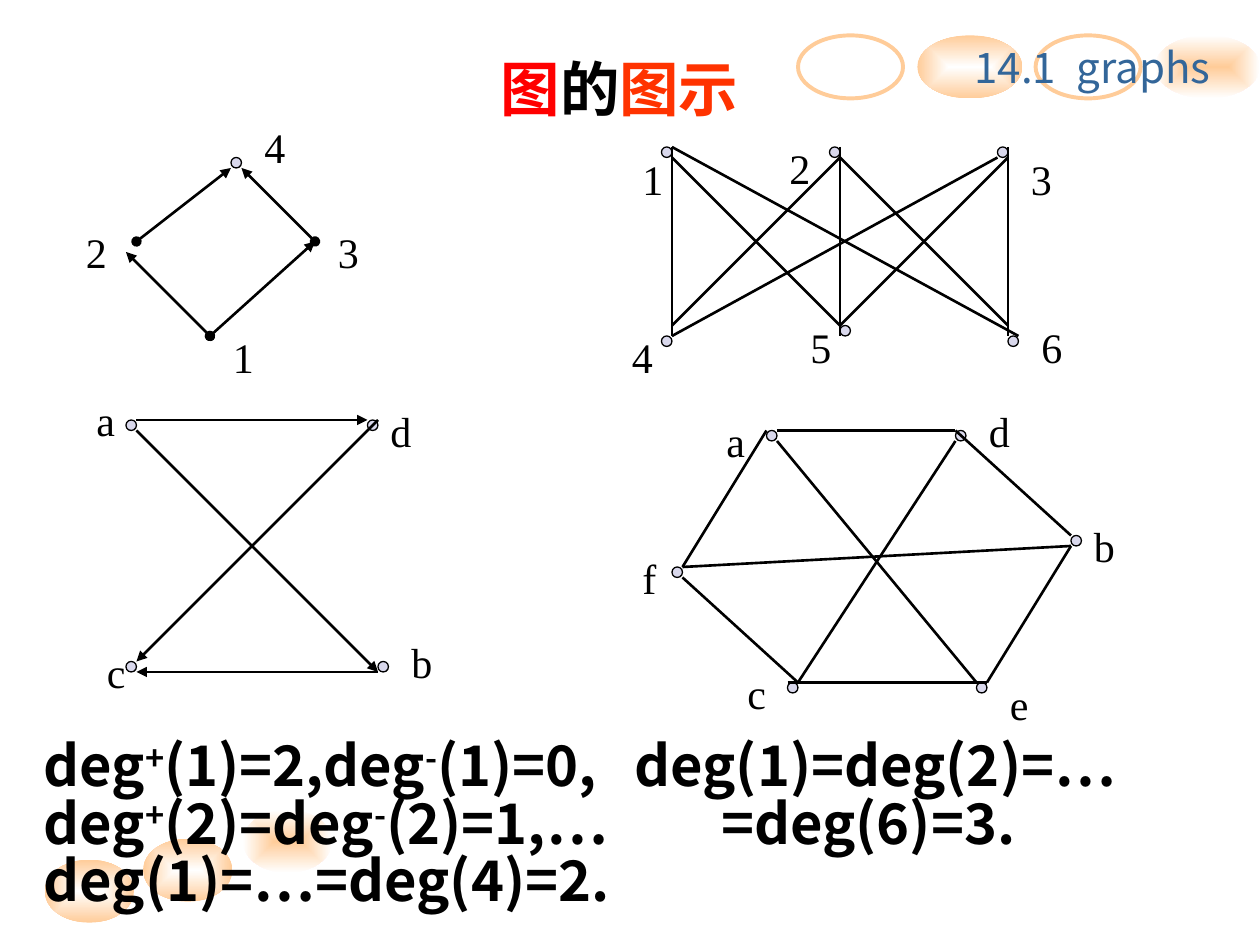
from dataclasses import dataclass
from typing import NamedTuple

from lxml.etree import SubElement
from pptx import Presentation
from pptx.dml.color import RGBColor
from pptx.enum.shapes import MSO_CONNECTOR, MSO_SHAPE
from pptx.enum.text import MSO_ANCHOR, MSO_AUTO_SIZE, PP_ALIGN
from pptx.oxml.ns import qn
from pptx.util import Emu, Pt

EMU_PER_PX = 9525
NODE_SIZE = 8
LABEL_HEIGHT = 48
SANS = "Noto Sans CJK SC"
SERIF = "Times New Roman"
COLORS = {
    "black": "000000", "white": "FFFFFF", "peach": "FFCC99", "node": "D9D8EC",
    "section": "336699", "red": "FF0000", "orange": "FF3300",
}


class Oval(NamedTuple):
    left: int
    top: int
    width: int
    stops: tuple[str, str] | None = None  # edge-to-centre colours; None is an outline


class Label(NamedTuple):
    text: str
    left: int
    top: int
    width: int = 32


class TextStyle(NamedTuple):
    font: str
    size: int
    color: str = "black"
    bold: bool = False


class Span(NamedTuple):
    text: str
    color: str | None = None
    raised: bool = False


@dataclass
class Graph:
    nodes: list[tuple[int, int]]
    edges: list[tuple[int, int, int, int]]
    labels: list[Label]
    directed: bool = False
    dotted_starts: bool = False


INWARD = ("peach", "white")
OUTWARD = ("white", "peach")
OVALS = [
    Oval(185, 617, 68, INWARD), Oval(109, 639, 68, OUTWARD), Oval(880, 27, 80, INWARD),
    Oval(699, 27, 80, OUTWARD), Oval(608, 27, 80), Oval(34, 655, 68, OUTWARD),
    Oval(789, 27, 80),
]

GRAPHS = [
    Graph(
        nodes=[(176, 120)],
        edges=[(160, 256, 240, 184), (104, 184, 176, 128),
               (160, 256, 96, 192), (240, 184, 184, 128)],
        labels=[Label("1", 168, 248), Label("2", 56, 168),
                Label("3", 248, 168), Label("4", 192, 88, 40)],
        directed=True, dotted_starts=True,
    ),
    Graph(
        nodes=[(96, 320), (96, 504), (280, 320), (288, 504)],
        edges=[(104, 320, 280, 320), (288, 512, 104, 512),
               (104, 328, 288, 512), (288, 320, 104, 504)],
        labels=[Label("a", 64, 296), Label("b", 304, 480),
                Label("c", 72, 488), Label("d", 288, 304)],
        directed=True,
    ),
    Graph(
        nodes=[(504, 112), (632, 112), (760, 112), (504, 256), (640, 248), (768, 256)],
        edges=[(512, 112, 512, 256), (640, 112, 640, 256), (768, 112, 768, 256),
               (512, 120, 640, 248), (640, 120, 768, 248), (768, 120, 640, 248),
               (640, 120, 512, 248), (512, 112, 776, 256), (512, 256, 760, 120)],
        labels=[Label("1", 480, 112), Label("2", 592, 104, 40), Label("3", 776, 112, 40),
                Label("4", 472, 248, 40), Label("5", 608, 240, 48), Label("6", 784, 240, 40)],
    ),
    Graph(
        nodes=[(584, 328), (728, 328), (816, 408), (744, 520), (600, 520), (512, 432)],
        edges=[(752, 520, 816, 416), (520, 432, 584, 328), (592, 328, 728, 328),
               (600, 520, 752, 520), (728, 328, 816, 408), (520, 440, 608, 520),
               (520, 432, 816, 416), (728, 336, 608, 520), (592, 336, 744, 520)],
        labels=[Label("a", 544, 312), Label("b", 824, 392), Label("c", 560, 504),
                Label("d", 744, 304), Label("e", 760, 512), Label("f", 480, 416, 40)],
    ),
]

DEGREE_LINES = [
    [Span("deg"), Span("+", raised=True), Span("(1)=2,deg"), Span("-", raised=True),
     Span("(1)=0,\tdeg(1)=deg(2)=…")],
    [Span("deg"), Span("+", raised=True), Span("(2)=deg"), Span("-", raised=True),
     Span("(2)=1,…\t=deg(6)=3.")],
    [Span("deg(1)=…=deg(4)=2.")],
]
DEGREE_TABS = [450, 516, None]


def px(length: int) -> Emu:
    return Emu(length * EMU_PER_PX)


def rgb(name: str) -> RGBColor:
    return RGBColor.from_string(COLORS[name])


def add_ellipse(slide, left: int, top: int, width: int, height: int):
    ellipse = slide.shapes.add_shape(
        MSO_SHAPE.OVAL, px(left), px(top), px(width), px(height))
    ellipse.shadow.inherit = False
    return ellipse


def add_oval(slide, oval: Oval) -> None:
    ellipse = add_ellipse(slide, oval.left, oval.top, oval.width, 48)
    if oval.stops is None:
        ellipse.fill.background()
        ellipse.line.color.rgb = rgb("peach")
        ellipse.line.width = Pt(2.25)
        return
    ellipse.line.fill.background()
    ellipse.fill.gradient()
    for stop, color in zip(ellipse.fill.gradient_stops, oval.stops):
        stop.color.rgb = rgb(color)
    gradient = ellipse._element.spPr.find(qn("a:gradFill"))
    gradient.remove(gradient.find(qn("a:lin")))
    center = SubElement(gradient, qn("a:path"), path="rect")
    SubElement(center, qn("a:fillToRect"), l="50000", t="50000", r="50000", b="50000")


def add_node(slide, left: int, top: int) -> None:
    node = add_ellipse(slide, left, top, NODE_SIZE, NODE_SIZE)
    node.fill.solid()
    node.fill.fore_color.rgb = rgb("node")
    node.line.color.rgb = rgb("black")
    node.line.width = Pt(0.75)


def add_edge(slide, ends: tuple[int, int, int, int], graph: Graph) -> None:
    edge = slide.shapes.add_connector(MSO_CONNECTOR.STRAIGHT, *map(px, ends))
    edge.line.color.rgb = rgb("black")
    edge.line.width = Pt(1.5)
    properties = edge._element.spPr
    outline = properties.find(qn("a:ln"))
    if graph.dotted_starts:
        SubElement(outline, qn("a:headEnd"), type="oval")
    if graph.directed:
        SubElement(outline, qn("a:tailEnd"), type="triangle")
    SubElement(properties, qn("a:effectLst"))


def add_text_frame(slide, left: int, top: int, width: int, height: int):
    frame = slide.shapes.add_textbox(px(left), px(top), px(width), px(height)).text_frame
    frame.word_wrap = True
    return frame


def write_spans(paragraph, spans: list[Span], style: TextStyle, tab: int | None = None) -> None:
    """Fill a paragraph run by run, with an optional left tab stop in px."""
    if tab is not None:
        stops = SubElement(paragraph._p.get_or_add_pPr(), qn("a:tabLst"))
        SubElement(stops, qn("a:tab"), pos=str(px(tab)), algn="l")
    for span in spans:
        run = paragraph.add_run()
        run.text = span.text
        run.font.name = style.font
        run.font.size = Pt(style.size)
        run.font.bold = style.bold
        run.font.color.rgb = rgb(span.color or style.color)
        if span.raised:
            run.font._element.set("baseline", "30000")


def add_graph(slide, graph: Graph) -> None:
    for node in graph.nodes:
        add_node(slide, *node)
    for edge in graph.edges:
        add_edge(slide, edge, graph)
    for label in graph.labels:
        frame = add_text_frame(slide, label.left, label.top, label.width, LABEL_HEIGHT)
        frame.auto_size = MSO_AUTO_SIZE.SHAPE_TO_FIT_TEXT
        write_spans(frame.paragraphs[0], [Span(label.text)], TextStyle(SERIF, 24))


def main() -> None:
    deck = Presentation()
    deck.slide_width, deck.slide_height = px(960), px(720)
    slide = deck.slides.add_slide(deck.slide_layouts[6])

    for oval in OVALS:
        add_oval(slide, oval)

    section = add_text_frame(slide, 733, 27, 208, 33)
    write_spans(section.paragraphs[0], [Span("14.1\tgraphs")],
                TextStyle(SANS, 24, "section"), tab=78)

    title = add_text_frame(slide, 306, 35, 332, 64)
    title.vertical_anchor = MSO_ANCHOR.MIDDLE
    title.paragraphs[0].alignment = PP_ALIGN.CENTER
    write_spans(title.paragraphs[0],
                [Span("图", "red"), Span("的"), Span("图示", "orange")],
                TextStyle("Arial", 34, bold=True))

    degrees = add_text_frame(slide, 24, 560, 896, 144)
    for index, (spans, tab) in enumerate(zip(DEGREE_LINES, DEGREE_TABS)):
        paragraph = degrees.add_paragraph() if index else degrees.paragraphs[0]
        write_spans(paragraph, spans, TextStyle(SANS, 32, bold=True), tab)
        paragraph.line_spacing = 0.85

    for graph in GRAPHS:
        add_graph(slide, graph)
    deck.save("out.pptx")


if __name__ == "__main__":
    main()
